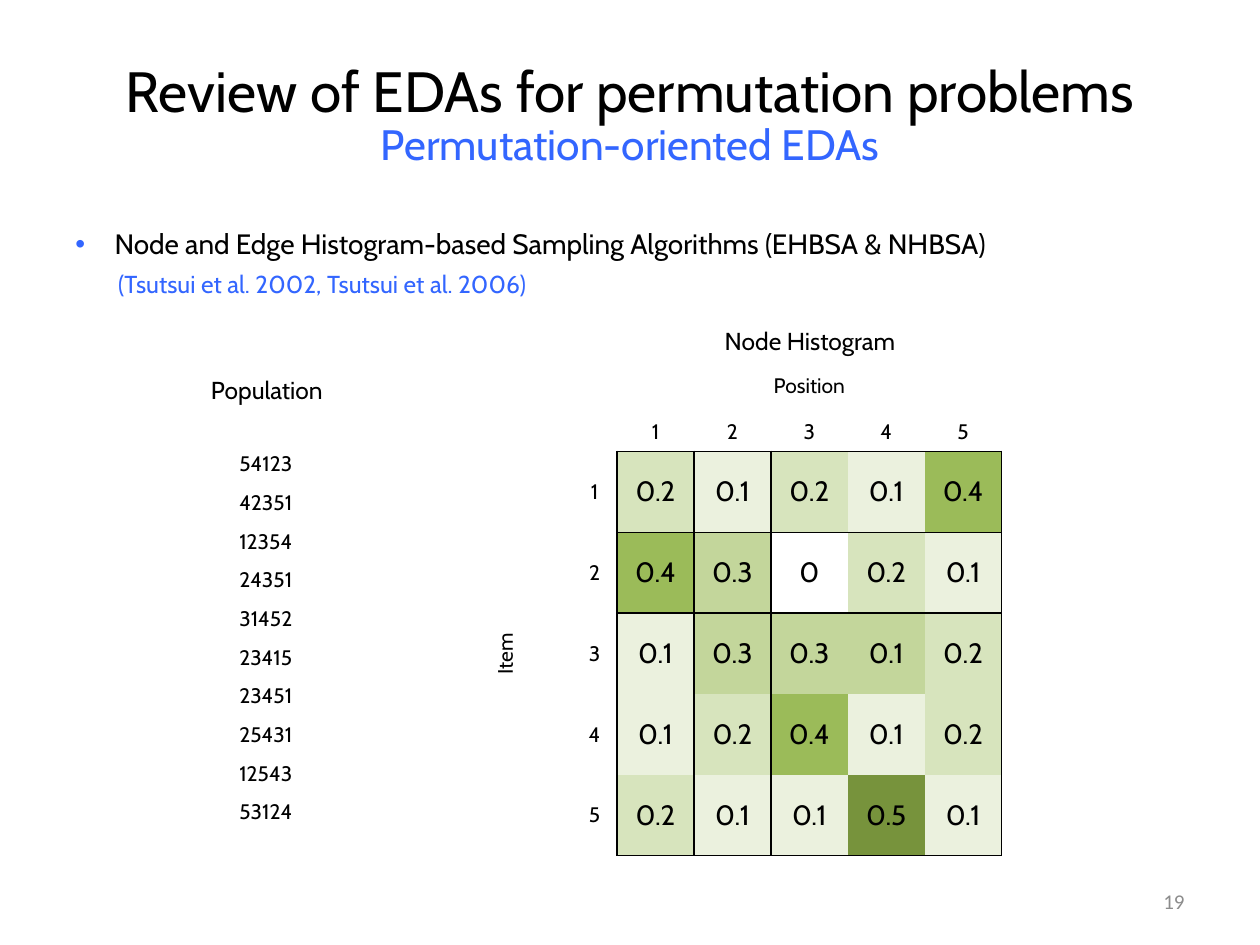
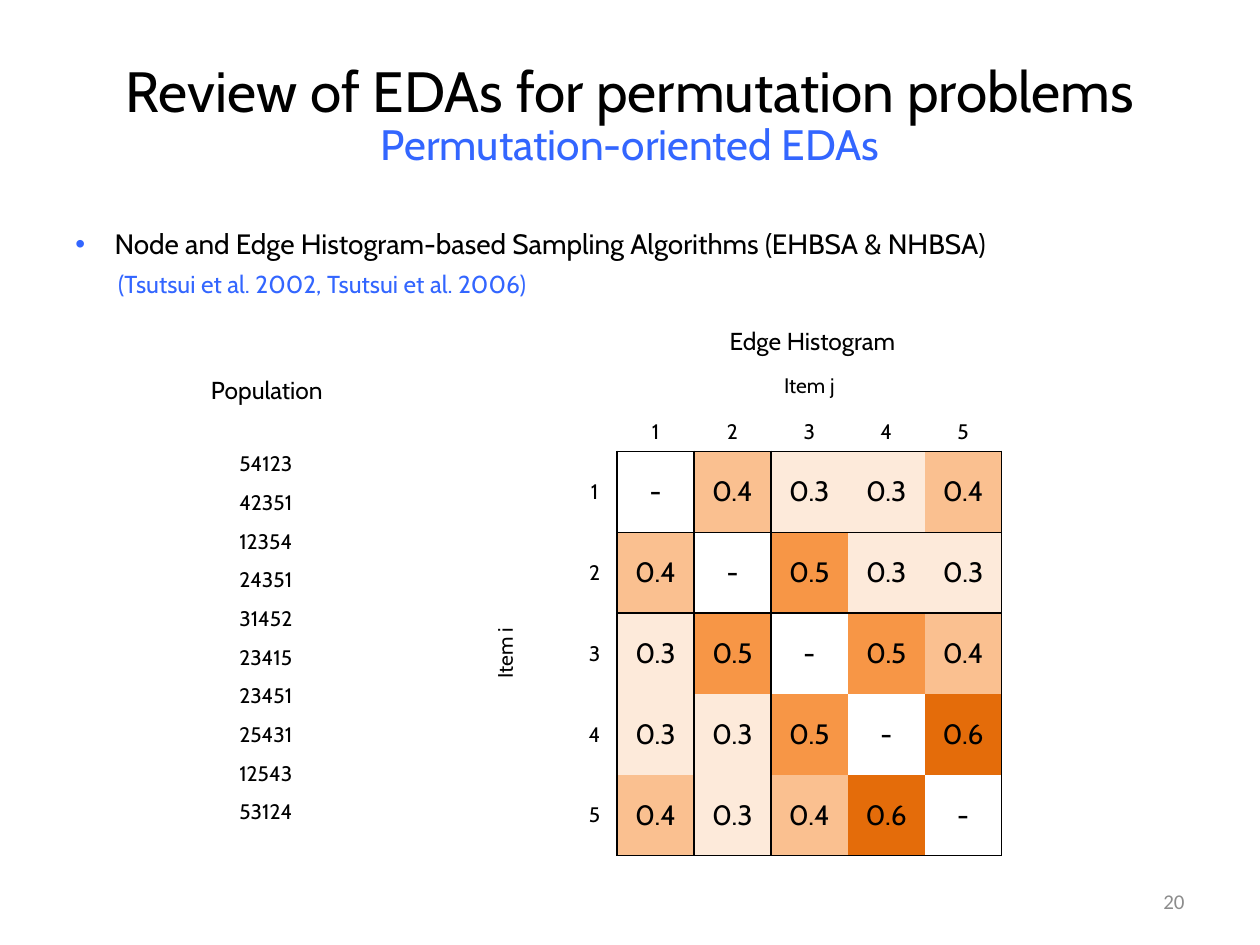
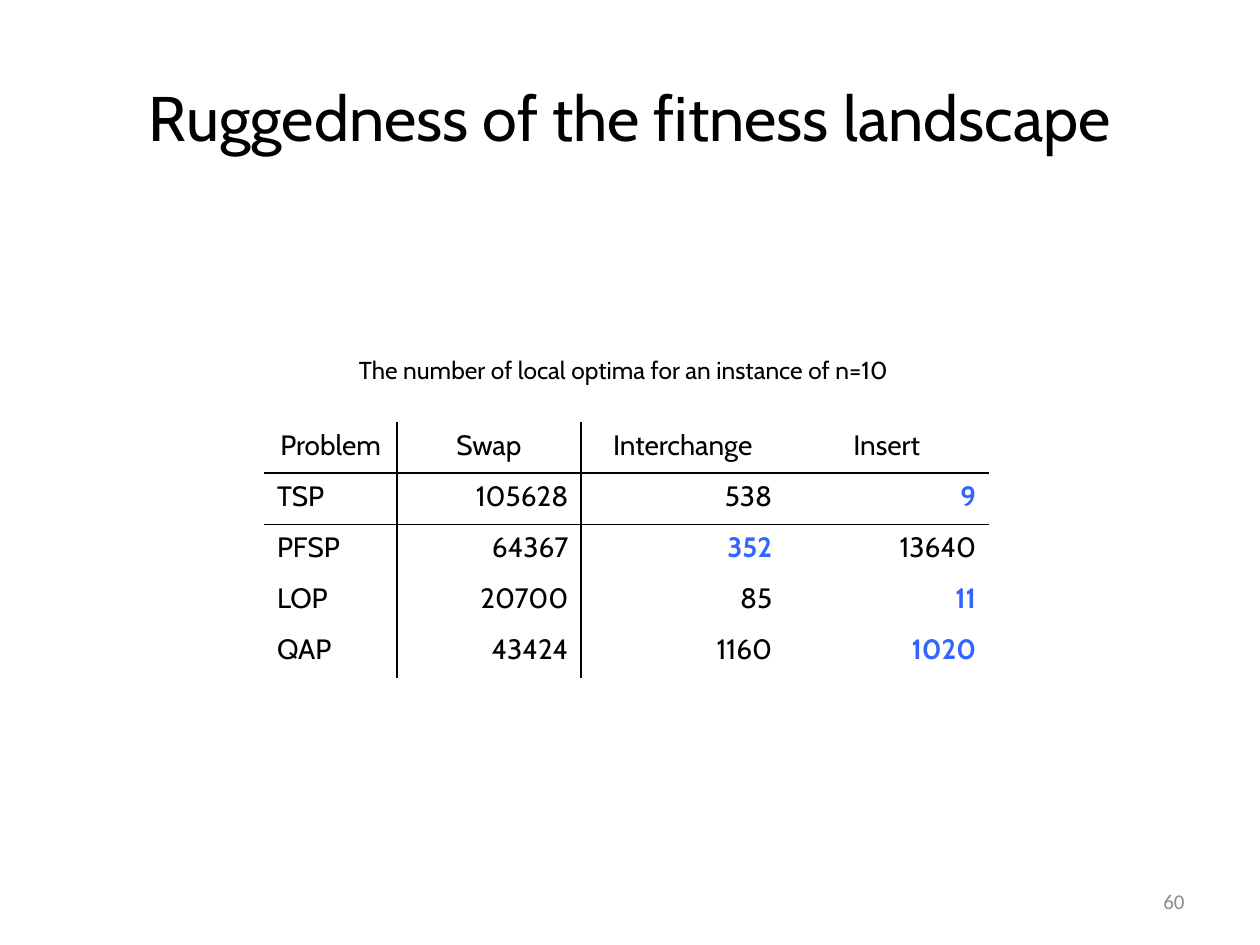
import pptx
import pptx.dml.color
import pptx.enum.text
import pptx.util
from lxml import etree
from pptx.oxml.ns import qn

Cm = pptx.util.Cm
Pt = pptx.util.Pt
ALIGN = pptx.enum.text.PP_ALIGN
ANCHOR = pptx.enum.text.MSO_ANCHOR

BLACK, BLUE, GREY, WHITE = "000000", "3366FF", "8C8C8C", "FFFFFF"
NO_TABLE_STYLE = "{2D5ABB26-0587-4C30-8999-92F81FD0307C}"
POPULATION = ["54123", "42351", "12354", "24351", "31452",
              "23415", "23451", "25431", "12543", "53124"]


def colour(hex_value):
    return pptx.dml.color.RGBColor.from_string(hex_value)


class Deck:
    """Holds the shared style and the current slide."""

    font = "Cabin"

    def __init__(self):
        self.presentation = pptx.Presentation()
        self.presentation.slide_width = Cm(25.4)
        self.presentation.slide_height = Cm(19.05)
        self.slide = None

    def run(self, paragraph, text, size, hex_value=BLACK, bold=False, font=font):
        run = paragraph.add_run()
        run.text = text
        run.font.color.rgb = colour(hex_value)
        for name, value in {"name": font, "size": Pt(size), "bold": bold}.items():
            setattr(run.font, name, value)

    def new_slide(self, number, title, title_size, subtitle=None):
        self.slide = self.presentation.slides.add_slide(self.presentation.slide_layouts[5])
        shape = self.slide.shapes.title
        place = {"left": Cm(1.27), "top": Cm(0.76), "width": Cm(22.86), "height": Cm(3.18)}
        for name, value in place.items():
            setattr(shape, name, value)
        frame = shape.text_frame
        frame.auto_size = pptx.enum.text.MSO_AUTO_SIZE.NONE
        frame.vertical_anchor = ANCHOR.MIDDLE
        paragraph = frame.paragraphs[0]
        paragraph.alignment = ALIGN.CENTER
        self.run(paragraph, title, title_size)
        if subtitle:
            paragraph.line_spacing = 0.9
            paragraph.add_line_break()
            self.run(paragraph, subtitle, 24.3, BLUE)
        # Slide number
        frame = self.box(18.21, 17.65, 5.92, 1.02)
        frame.vertical_anchor = ANCHOR.MIDDLE
        frame.paragraphs[0].alignment = ALIGN.RIGHT
        self.run(frame.paragraphs[0], str(number), 12, GREY, font="Calibri")

    def box(self, left, top, width, height, wrap=True):
        shape = self.slide.shapes.add_textbox(Cm(left), Cm(top), Cm(width), Cm(height))
        shape.text_frame.word_wrap = wrap
        return shape.text_frame

    def label(self, text, left, top, width):
        frame = self.box(left, top, width, 0.86, wrap=False)
        frame.paragraphs[0].alignment = ALIGN.CENTER
        self.run(frame.paragraphs[0], text, 14)

    def bullet_with_citation(self, text, citation):
        frame = self.box(1.27, 4.45, 22.86, 1.9)
        paragraph = frame.paragraphs[0]
        properties = paragraph._p.get_or_add_pPr()
        properties.set("marL", str(Cm(0.79)))
        properties.set("indent", str(-Cm(0.79)))
        bullet_colour = etree.SubElement(properties, qn("a:buClr"))
        etree.SubElement(bullet_colour, qn("a:srgbClr"), val=BLUE)
        etree.SubElement(properties, qn("a:buFont"), typeface="Arial")
        etree.SubElement(properties, qn("a:buChar"), char="•")
        self.run(paragraph, text, 16)
        paragraph = frame.add_paragraph()
        paragraph.space_before = Pt(5)
        paragraph._p.get_or_add_pPr().set("marL", str(Cm(0.86)))
        self.run(paragraph, citation, 14, BLUE)

    def table(self, left, top, column_widths, row_heights):
        frame = self.slide.shapes.add_table(
            len(row_heights), len(column_widths), Cm(left), Cm(top),
            Cm(sum(column_widths)), Cm(sum(row_heights)))
        table = frame.table
        table.first_row = table.horz_banding = False
        table._tbl.tblPr.find(qn("a:tableStyleId")).text = NO_TABLE_STYLE
        for column, width in zip(table.columns, column_widths):
            column.width = Cm(width)
        for row, height in zip(table.rows, row_heights):
            row.height = Cm(height)
        for cell in table.iter_cells():
            end = cell.text_frame.paragraphs[0]._p.get_or_add_endParaRPr()
            end.set("sz", "1200")
        return table

    def cell(self, cell, text, size=12, align=ALIGN.CENTER, anchor=ANCHOR.MIDDLE,
             fill=None, borders="", hex_value=BLACK, bold=False):
        paragraph = cell.text_frame.paragraphs[0]
        paragraph.alignment = align
        self.run(paragraph, text, size, hex_value, bold)
        cell.vertical_anchor = anchor
        properties = cell._tc.get_or_add_tcPr()
        for side in "LRTB":
            if side in borders:
                line = etree.SubElement(properties, qn(f"a:ln{side}"), w=str(Pt(1)))
                solid = etree.SubElement(line, qn("a:solidFill"))
                etree.SubElement(solid, qn("a:srgbClr"), val=BLACK)
        if fill:
            cell.fill.solid()
            cell.fill.fore_color.rgb = colour(fill)
        else:
            cell.fill.background()

    def population(self):
        self.label("Population", 3.78, 7.44, 3.2)
        table = self.table(4.57, 8.97, [1.7], [0.78] * len(POPULATION))
        for row, text in enumerate(POPULATION):
            self.cell(table.cell(row, 0), text, align=ALIGN.LEFT, anchor=ANCHOR.TOP)

    def histogram(self, column_title, row_title, values, shades, exceptions):
        count = len(values)
        table = self.table(9.8, 7.39, [1.73, 0.91] + [1.55] * count,
                           [0.94, 0.77] + [1.63] * count)
        # Axis titles
        table.cell(0, 2).merge(table.cell(0, count + 1))
        self.cell(table.cell(0, 2), column_title, anchor=ANCHOR.TOP)
        table.cell(2, 0).merge(table.cell(count + 1, 0))
        self.cell(table.cell(2, 0), row_title)
        table.cell(2, 0)._tc.get_or_add_tcPr().set("vert", "vert270")
        # Axis numbers
        for index in range(count):
            self.cell(table.cell(1, index + 2), str(index + 1), borders="B")
            self.cell(table.cell(index + 2, 1), str(index + 1), borders="R")
        # Shaded values, with rules round the grid and after its first row and column
        first, last = (0, 1), (0, count - 1)
        for row, texts in enumerate(values):
            for column, text in enumerate(texts):
                borders = ("L" * (column in first) + "R" * (column in last)
                           + "T" * (row in first) + "B" * (row in last))
                fill = exceptions.get((row, column), shades[text])
                self.cell(table.cell(row + 2, column + 2), text, 16, fill=fill, borders=borders)

    def histogram_slide(self, number, name, label_left, column_title, row_title,
                        values, shades, exceptions={}):
        self.new_slide(number, "Review of EDAs for permutation problems", 32.4,
                       "Permutation-oriented EDAs")
        self.bullet_with_citation(
            "Node and Edge Histogram-based Sampling Algorithms (EHBSA & NHBSA)",
            "(Tsutsui et al. 2002, Tsutsui et al. 2006)")
        self.label(name, label_left, 6.45, 4.3)
        self.histogram(column_title, row_title, values, shades, exceptions)
        self.population()

    def optima_table(self, header, rows, best):
        table = self.table(5.33, 8.51, [2.67, 3.71, 4.11, 4.11], [1.03] * (len(rows) + 1))
        for row, texts in enumerate([header] + rows):
            for column, text in enumerate(texts):
                align = ALIGN.RIGHT if column else ALIGN.LEFT
                if row == 0:
                    align = ALIGN.CENTER
                borders = ("R" * (column == 0) + "L" * (column == 1)
                           + "B" * (row == 0) + "T" * (row == 1))
                is_best = text in best
                self.cell(table.cell(row, column), text, 16, align, ANCHOR.TOP,
                          borders=borders, bold=is_best,
                          hex_value=BLUE if is_best else BLACK)


def main():
    deck = Deck()

    # Node histogram
    deck.histogram_slide(
        19, "Node Histogram", 14.18, "Position", "Item",
        [["0.2", "0.1", "0.2", "0.1", "0.4"],
         ["0.4", "0.3", "0", "0.2", "0.1"],
         ["0.1", "0.3", "0.3", "0.1", "0.2"],
         ["0.1", "0.2", "0.4", "0.1", "0.2"],
         ["0.2", "0.1", "0.1", "0.5", "0.1"]],
        {"0": WHITE, "0.1": "EBF1DE", "0.2": "D7E4BD", "0.3": "C3D69B",
         "0.4": "9BBB59", "0.5": "77933C"},
        {(2, 3): "C3D69B"})

    # Edge histogram
    deck.histogram_slide(
        20, "Edge Histogram", 14.23, "Item j", "Item i",
        [["-", "0.4", "0.3", "0.3", "0.4"],
         ["0.4", "-", "0.5", "0.3", "0.3"],
         ["0.3", "0.5", "-", "0.5", "0.4"],
         ["0.3", "0.3", "0.5", "-", "0.6"],
         ["0.4", "0.3", "0.4", "0.6", "-"]],
        {"-": WHITE, "0.3": "FDEADA", "0.4": "FAC090", "0.5": "F79646", "0.6": "E46C0A"})

    # Local optima
    deck.new_slide(60, "Ruggedness of the fitness landscape", 36)
    deck.optima_table(
        ["Problem", "Swap", "Interchange", "Insert"],
        [["TSP", "105628", "538", "9"],
         ["PFSP", "64367", "352", "13640"],
         ["LOP", "20700", "85", "11"],
         ["QAP", "43424", "1160", "1020"]],
        best={"9", "352", "11", "1020"})
    deck.label("The number of local optima for an instance of n=10", 6.36, 7.04, 12.42)

    deck.presentation.save("out.pptx")


if __name__ == "__main__":
    main()
